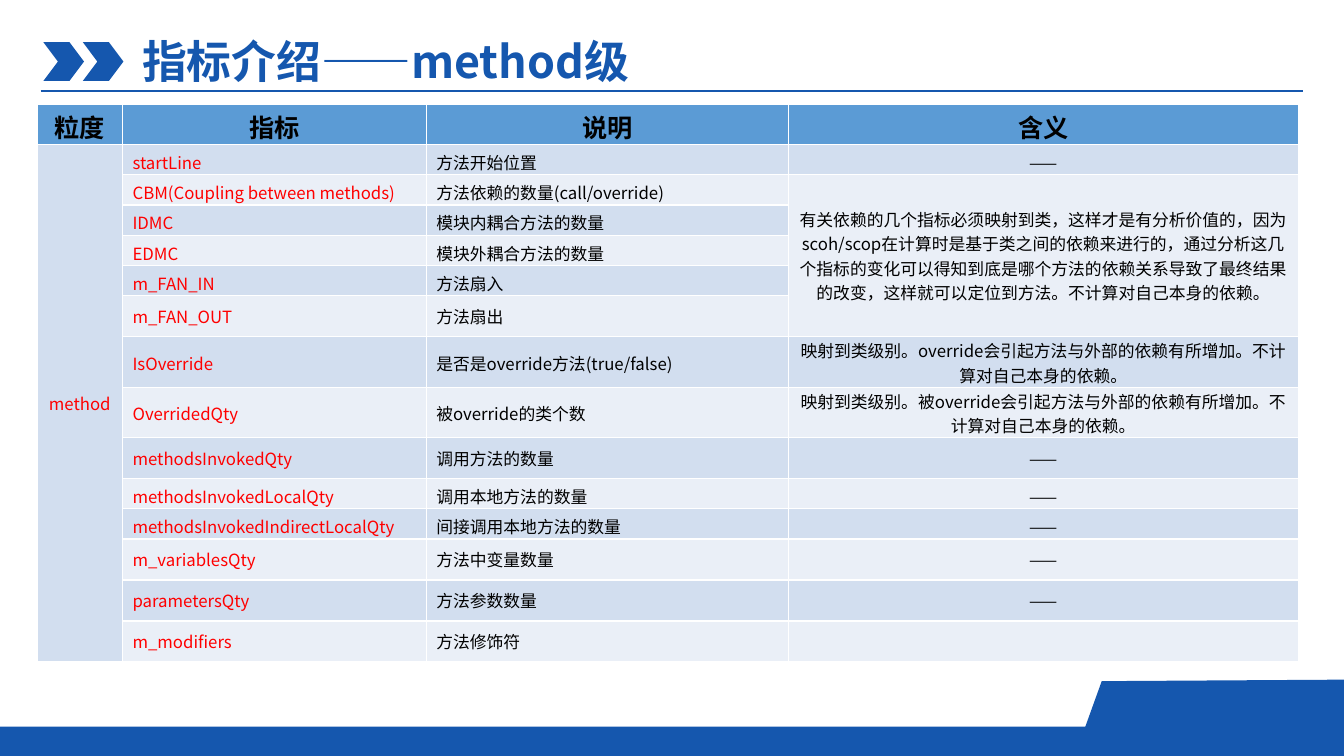
from lxml import etree
from pptx import Presentation
from pptx.dml.color import RGBColor
from pptx.enum.shapes import MSO_CONNECTOR, MSO_SHAPE
from pptx.enum.text import MSO_ANCHOR, MSO_AUTO_SIZE, PP_ALIGN
from pptx.oxml.ns import qn
from pptx.util import Pt

CHEVRON, RECTANGLE = MSO_SHAPE.CHEVRON, MSO_SHAPE.RECTANGLE
STRAIGHT = MSO_CONNECTOR.STRAIGHT
LEFT, CENTER = PP_ALIGN.LEFT, PP_ALIGN.CENTER
TOP, MIDDLE = MSO_ANCHOR.TOP, MSO_ANCHOR.MIDDLE
NO_AUTOFIT = MSO_AUTO_SIZE.NONE
FONT = "Noto Sans CJK SC"
COLORS = {"brand": "1557AE", "header": "5B9BD5", "odd": "D2DEEF",
          "even": "EAEFF7", "metric": "FF0000", "text": "000000"}

# Content
TITLE = "指标介绍——method级"
HEADERS = ["粒度", "指标", "说明", "含义"]
LEVEL = "method"
DASH = "——"
DEPENDENCY = ("有关依赖的几个指标必须映射到类，这样才是有分析价值的，因为scoh/scop在计算时是"
              "基于类之间的依赖来进行的，通过分析这几个指标的变化可以得知到底是哪个方法的依赖关系"
              "导致了最终结果的改变，这样就可以定位到方法。不计算对自己本身的依赖。")
SHORT, TALL, DOUBLE = 21.6, 29.3, 36
# metric, description, meaning, row height
METRICS = [
    ("startLine", "方法开始位置", DASH, SHORT),
    ("CBM(Coupling between methods)", "方法依赖的数量(call/override)", DEPENDENCY, SHORT),
    ("IDMC", "模块内耦合方法的数量", "", SHORT),
    ("EDMC", "模块外耦合方法的数量", "", SHORT),
    ("m_FAN_IN", "方法扇入", "", SHORT),
    ("m_FAN_OUT", "方法扇出", "", TALL),
    ("IsOverride", "是否是override方法(true/false)",
     "映射到类级别。override会引起方法与外部的依赖有所增加。不计算对自己本身的依赖。", DOUBLE),
    ("OverridedQty", "被override的类个数",
     "映射到类级别。被override会引起方法与外部的依赖有所增加。不计算对自己本身的依赖。", DOUBLE),
    ("methodsInvokedQty", "调用方法的数量", DASH, TALL),
    ("methodsInvokedLocalQty", "调用本地方法的数量", DASH, SHORT),
    ("methodsInvokedIndirectLocalQty", "间接调用本地方法的数量", DASH, SHORT),
    ("m_variablesQty", "方法中变量数量", DASH, TALL),
    ("parametersQty", "方法参数数量", DASH, TALL),
    ("m_modifiers", "方法修饰符", "", TALL),
]
DEPENDENCY_ROWS = (2, 6)

# Geometry
PAGE_WIDTH, PAGE_HEIGHT = 960, 540
COLUMN_WIDTHS = [61, 217, 258.5, 364.5]
HEADER_HEIGHT = 28.8
TABLE_LEFT, TABLE_TOP = 26.5, 74.5
CORNER = [(960, 536.4), (960, 485.5), (787, 486.6), (769, 536.4)]
# Top and bottom cell margins
HEADER_PADDING, EVEN_PADDING = (2.4, 0), (1.8, 1.8)
PADDING = {SHORT: (3.6, 0.4), TALL: (3.6, 3.6), DOUBLE: (1, 0)}


def color(name):
    return RGBColor.from_string(COLORS[name])


def paint(shape):
    shape.fill.solid()
    shape.fill.fore_color.rgb = color("brand")
    shape.line.fill.background()
    shape.shadow.inherit = False


def write(frame, text, size, tint, align=LEFT, bold=False):
    frame.text = text
    para = frame.paragraphs[0]
    para.alignment = align
    for span in para.runs:
        span.font.name = FONT
        span.font.size = Pt(size)
        span.font.bold = bold
        span.font.color.rgb = color(tint)
        latin = span.font._element.find(qn("a:latin"))
        latin.addnext(etree.Element(qn("a:ea"), typeface=FONT))


def fill_cell(cell, fill, text, padding, size, tint, align=LEFT, bold=False):
    cell.fill.solid()
    cell.fill.fore_color.rgb = color(fill)
    cell.vertical_anchor = MIDDLE
    cell.margin_top, cell.margin_bottom = [Pt(value) for value in padding]
    if text:
        write(cell.text_frame, text, size, tint, align, bold)
    else:
        cell.text_frame.paragraphs[0].font.size = Pt(size)


deck = Presentation()
deck.slide_width, deck.slide_height = Pt(PAGE_WIDTH), Pt(PAGE_HEIGHT)
page = deck.slides.add_slide(deck.slide_layouts[5])

# Footer band with raised corner
paint(page.shapes.add_shape(RECTANGLE, 0, Pt(519), Pt(PAGE_WIDTH), Pt(21)))
builder = page.shapes.build_freeform(*[Pt(value) for value in CORNER[0]], scale=1)
builder.add_line_segments([(Pt(x), Pt(y)) for x, y in CORNER[1:]], close=True)
paint(builder.convert_to_shape())

# Title with chevrons and rule
rule = page.shapes.add_connector(STRAIGHT, Pt(29), Pt(65.2), Pt(931), Pt(65.2))
rule.line.color.rgb = color("brand")
rule.line.width = Pt(1.5)
etree.SubElement(rule._element.spPr, qn("a:effectLst"))
for index in range(2):
    chevron = page.shapes.add_shape(CHEVRON, Pt(31 + 28.2 * index), Pt(30.2), Pt(29), Pt(27.6))
    chevron.adjustments[0] = 0.375
    paint(chevron)

title = page.shapes.title
title.left, title.top, title.width, title.height = Pt(94.3), Pt(20.2), Pt(860), Pt(50)
frame = title.text_frame
frame.auto_size = NO_AUTOFIT
frame.vertical_anchor = TOP
write(frame, TITLE, 32, "brand", bold=True)

# Metrics table
heights = [HEADER_HEIGHT] + [metric[-1] for metric in METRICS]
table = page.shapes.add_table(len(heights), len(HEADERS), Pt(TABLE_LEFT), Pt(TABLE_TOP),
                              Pt(sum(COLUMN_WIDTHS)), Pt(sum(heights))).table
for column, width in zip(table.columns, COLUMN_WIDTHS):
    column.width = Pt(width)
for row, height in zip(table.rows, heights):
    row.height = Pt(height)
for column, header in enumerate(HEADERS):
    fill_cell(table.cell(0, column), "header", header, HEADER_PADDING, 18, "text", CENTER, True)
first, last = DEPENDENCY_ROWS
for row, (metric, description, meaning, height) in enumerate(METRICS, 1):
    band = "odd" if row % 2 else "even"
    padding = PADDING[height]
    meaning_padding = EVEN_PADDING if first <= row <= last else padding
    level = LEVEL if row == 1 else ""
    fill_cell(table.cell(row, 0), band, level, EVEN_PADDING, 12, "metric", CENTER)
    fill_cell(table.cell(row, 1), band, metric, padding, 12, "metric")
    fill_cell(table.cell(row, 2), band, description, padding, 12, "text")
    fill_cell(table.cell(row, 3), band, meaning, meaning_padding, 12, "text", CENTER)
table.cell(1, 0).merge(table.cell(len(METRICS), 0))
table.cell(first, 3).merge(table.cell(last, 3))

deck.save("out.pptx")
